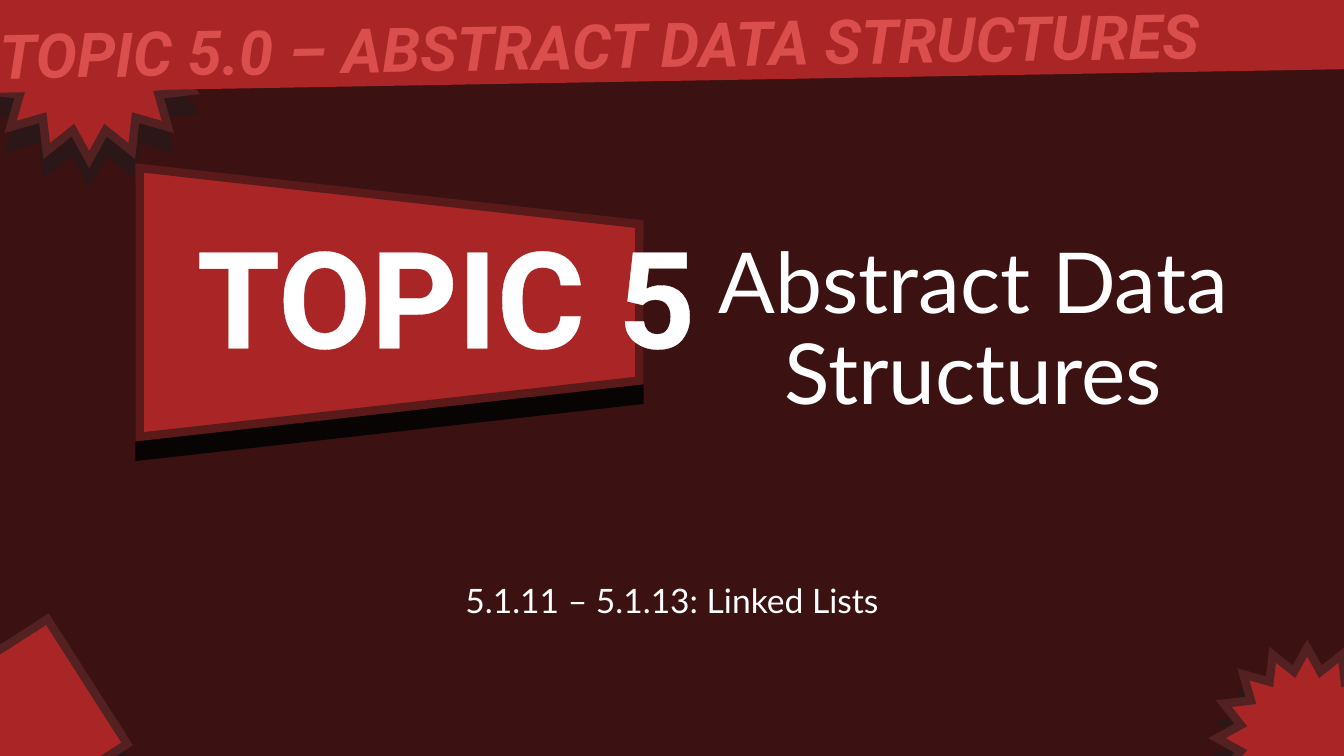
"""Build the title slide for Topic 5, Abstract Data Structures."""
from lxml.etree import SubElement
from pptx import Presentation
from pptx.dml.color import RGBColor
from pptx.enum.shapes import MSO_SHAPE
from pptx.enum.text import MSO_ANCHOR, PP_ALIGN
from pptx.oxml.ns import qn
from pptx.util import Pt

PX = 9525
MAROON = RGBColor(0x3B, 0x11, 0x11)
RED = RGBColor(0xAA, 0x26, 0x26)
BORDER = RGBColor(0x53, 0x21, 0x21)
PANEL_BORDER = RGBColor(0x5A, 0x1A, 0x1A)
SHADOW = RGBColor(0x2B, 0x17, 0x17)
PANEL_SHADOW = RGBColor(0x08, 0x04, 0x04)
CORAL = RGBColor(0xDA, 0x4E, 0x4E)
WHITE = RGBColor(0xFF, 0xFF, 0xFF)

prs = Presentation()
prs.slide_width, prs.slide_height = 1280 * PX, 720 * PX
s = prs.slides.add_slide(prs.slide_layouts[6])
s.background.fill.solid()
s.background.fill.fore_color.rgb = MAROON


def add_block(kind, box, rotation=0, border=None, shadow=None):
    sp = s.shapes.add_shape(kind, *(v * PX for v in box))
    sp.rotation = rotation
    sp.fill.solid()
    sp.fill.fore_color.rgb = RED
    sp.shadow.inherit = False
    if border is None:
        sp.line.fill.background()
        return sp
    sp.line.color.rgb = border
    sp.line.width = Pt(6)
    SubElement(sp.line._get_or_add_ln(), qn("a:miter"), lim="800000")
    effects = sp._element.spPr.find(qn("a:effectLst"))
    drop = SubElement(effects, qn("a:outerShdw"), dist=str(Pt(14)),
                      dir="5400000", algn="t", rotWithShape="0")
    SubElement(drop, qn("a:srgbClr"), val=str(shadow))
    return sp


def add_text(text, box, size, font="Lato", color=WHITE, bold=False, italic=False,
             align=PP_ALIGN.CENTER, anchor=MSO_ANCHOR.TOP, spacing=None,
             before=0, rotation=0, outline=0):
    sp = s.shapes.add_textbox(*(v * PX for v in box))
    sp.rotation = rotation
    tf = sp.text_frame
    tf.word_wrap = True
    tf.vertical_anchor = anchor
    p = tf.paragraphs[0]
    p.alignment = align
    p.line_spacing = spacing
    p.space_before = Pt(before)
    r = p.add_run()
    r.text = text
    f = r.font
    f.name, f.size, f.bold, f.italic = font, Pt(size), bold, italic
    f.color.rgb = color
    if outline:
        rPr = r._r.get_or_add_rPr()
        ln = SubElement(rPr, qn("a:ln"), w=str(Pt(outline)))
        SubElement(SubElement(ln, qn("a:solidFill")), qn("a:srgbClr"), val=str(color))
        rPr.insert(0, ln)


for kind, box, rotation in [
    (MSO_SHAPE.STAR_16_POINT, (-21, -60, 212, 212), 0),
    (MSO_SHAPE.RECTANGLE, (-55, 619, 150, 141), 327.4),
    (MSO_SHAPE.STAR_16_POINT, (1159, 617, 172, 172), 0),
]:
    add_block(kind, box, rotation, BORDER, SHADOW)

add_text("Abstract Data Structures", (622, 110, 610, 297), 60,
         anchor=MSO_ANCHOR.BOTTOM, spacing=0.9)
add_text("5.1.11 – 5.1.13: Linked Lists", (160, 552, 960, 75), 24,
         spacing=0.9, before=10)

add_block(MSO_SHAPE.RECTANGLE, (-21, -65, 1331, 142), 359)
add_text("TOPIC 5.0 – ABSTRACT DATA STRUCTURES", (-10, -1, 1524, 81), 44,
         font="Roboto", color=CORAL, bold=True, italic=True,
         align=PP_ALIGN.LEFT, rotation=359, outline=1.5)

panel = add_block(MSO_SHAPE.TRAPEZOID, (243, 50, 256, 476), 90,
                  PANEL_BORDER, PANEL_SHADOW)
panel.adjustments[0] = 0.209
add_text("TOPIC 5", (84, 199, 682, 165), 96, font="Roboto", bold=True, outline=3)

prs.save("out.pptx")
